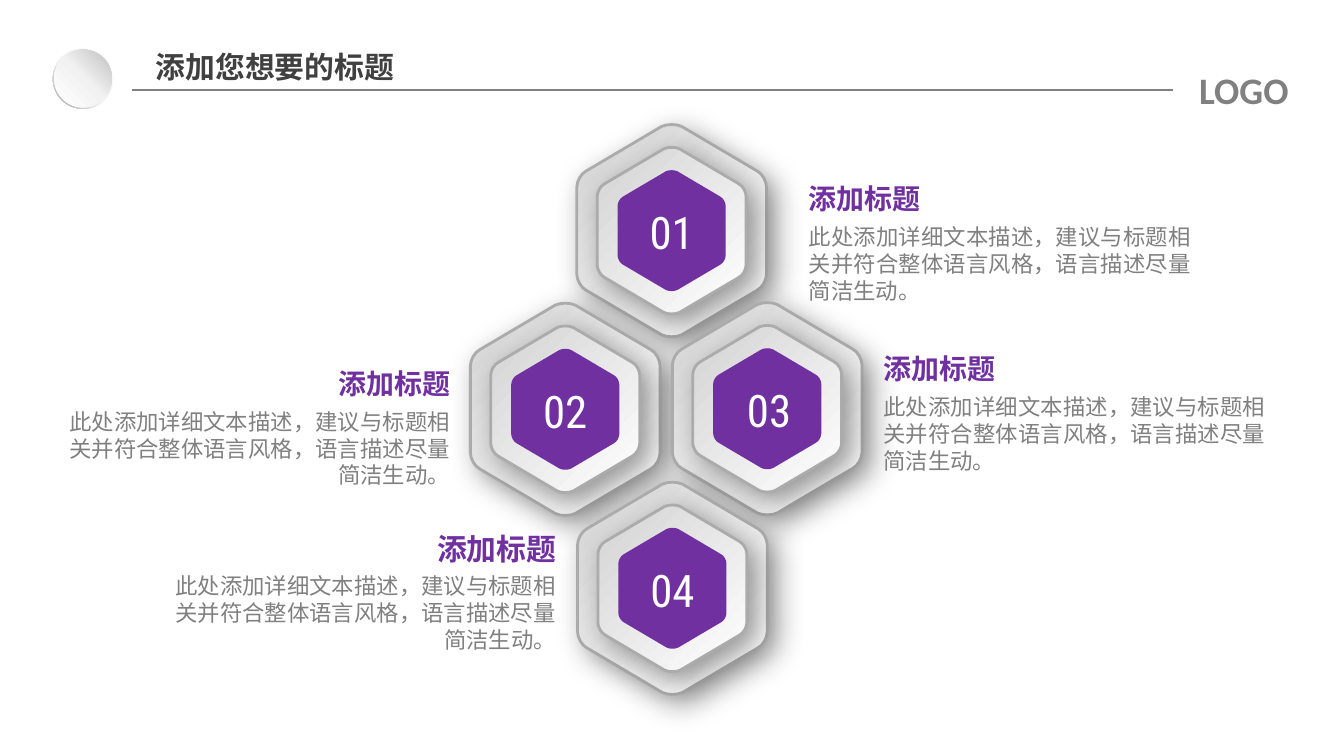
from lxml import etree
from pptx import Presentation
from pptx import util as u
from pptx.dml.color import RGBColor
from pptx.enum import shapes, text
from pptx.oxml.ns import qn

COLORS = {"purple": "7030A0", "gray": "808080", "dark": "404040",
          "white": "FFFFFF", "edge": "ABABAB", "shadow": "000000"}
CJK, LATIN, DIGITS = "Noto Sans CJK SC", "Calibri", "Roboto Condensed"
LEFT, CENTER = text.PP_ALIGN.LEFT, text.PP_ALIGN.CENTER
RIGHT, JUSTIFY = text.PP_ALIGN.RIGHT, text.PP_ALIGN.JUSTIFY

HEADING = "添加标题"
BODY = "此处添加详细文本描述，建议与标题相关并符合整体语言风格，语言描述尽量简洁生动。"
BODY_WIDTH = 215.3

# Bezier control points of two rounded corners, in points from the centre
TIP_CORNER = [(57.2, -5.4), (57.2, -5.4), (57.2, 5.4), (55.8, 5.4)]
TIP_CORNER = [(55.8, -5.4), (57.2, -2.5), (57.2, 2.5), (55.8, 5.4)]
SIDE_CORNER = [(32, 45.7), (30.6, 48.6), (26.3, 50.8), (23.4, 50.8)]


def rgb(name):
    return RGBColor.from_string(COLORS[name])


def sub(parent, tag, **attrs):
    return etree.SubElement(parent, qn(tag), {k: str(v) for k, v in attrs.items()})


def hexagon_outline():
    """Four Bezier points for each corner of a hexagon with its tips left and right."""
    half = TIP_CORNER + SIDE_CORNER + [(-x, y) for x, y in reversed(SIDE_CORNER)]
    return half + [(-x, -y) for x, y in half]


def round_corners(sp):
    """Turn the three segments of each corner into one cubic curve."""
    segments = list(sp._element.iter(qn("a:lnTo")))
    for i in range(0, len(segments), 4):
        bezier, *rest = segments[i:i + 3]
        bezier.tag = qn("a:cubicBezTo")
        for segment in rest:
            bezier.append(segment[0])
            segment.getparent().remove(segment)


class Slide:
    """Holds the current slide and draws its elements in one style; lengths in points."""

    def __init__(self, prs):
        self.s = prs.slides.add_slide(prs.slide_layouts[6])
        self.outline = hexagon_outline()

    def gradient(self, sp, stops, angle):
        """Stops are (percent, hex) pairs; the angle runs clockwise."""
        sp.fill.gradient()
        grad = sp._element.spPr.find(qn("a:gradFill"))
        for child in list(grad):
            grad.remove(child)
        stop_list = sub(grad, "a:gsLst")
        for pos, color in stops:
            sub(sub(stop_list, "a:gs", pos=pos * 1000), "a:srgbClr", val=color)
        sub(grad, "a:lin", ang=angle * 60000, scaled=0)

    def drop_shadow(self, sp):
        sp.shadow.inherit = False
        shadow = sub(sp._element.spPr.find(qn("a:effectLst")), "a:outerShdw",
                     blurRad=u.Pt(16), dist=u.Pt(6), dir=45 * 60000,
                     algn="ctr", rotWithShape=0)
        sub(sub(shadow, "a:srgbClr", val=COLORS["shadow"]), "a:alpha", val=40000)

    def label(self, x, y, w, h, content, size, color, font=CJK, align=LEFT,
              bold=False, inset=(7.2, 3.6)):
        sp = self.s.shapes.add_textbox(u.Pt(x), u.Pt(y), u.Pt(w), u.Pt(h))
        tf = sp.text_frame
        tf.word_wrap = True
        tf.margin_left = tf.margin_right = u.Pt(inset[0])
        tf.margin_top = tf.margin_bottom = u.Pt(inset[1])
        p = tf.paragraphs[0]
        p.text = content
        p.alignment = align
        if font == CJK:
            p.line_spacing = u.Pt(size * 1.2)
        p.font.size, p.font.bold, p.font.name = u.Pt(size), bold, font
        p.font.color.rgb = rgb(color)
        sub(p._p.pPr.find(qn("a:defRPr")), "a:ea", typeface=font)

    def round_shape(self, kind, x, y, size, stops, angle):
        sp = self.s.shapes.add_shape(kind, u.Pt(x), u.Pt(y), u.Pt(size), u.Pt(size))
        self.gradient(sp, stops, angle)
        sp.line.fill.background()
        sp.shadow.inherit = False
        return sp

    def rule(self, x1, x2, y):
        line = self.s.shapes.add_connector(shapes.MSO_CONNECTOR.STRAIGHT,
                                           u.Pt(x1), u.Pt(y), u.Pt(x2), u.Pt(y))
        line.line.color.rgb = rgb("gray")
        line.line.width = u.Pt(1.25)
        sub(line._element.spPr, "a:effectLst")

    def hexagon(self, cx, cy, scale, raised):
        points = [(u.Pt(cx + x * scale), u.Pt(cy + y * scale)) for x, y in self.outline]
        builder = self.s.shapes.build_freeform(*points[0])
        builder.add_line_segments(points[1:], close=True)
        sp = builder.convert_to_shape()
        round_corners(sp)
        sp.rotation = 90
        if raised:
            self.gradient(sp, [(0, "FFFFFF"), (100, "D3D3D3")], 135)
            sp.line.color.rgb = rgb("edge")
            sp.line.width = u.Pt(1.5)
            self.drop_shadow(sp)
        else:
            sp.fill.solid()
            sp.fill.fore_color.rgb = rgb("purple")
            sp.line.fill.background()
            sp.shadow.inherit = False

    def badge(self, number, cx, cy, number_x):
        for scale, raised in ((1, True), (0.785, True), (0.57, False)):
            self.hexagon(cx, cy, scale, raised)
        self.label(number_x - 27, cy - 17.5, 54, 36, number, 24, "white", DIGITS, CENTER)

    def header(self, title):
        ring = self.round_shape(shapes.MSO_SHAPE.DONUT, 28.3, 25.9, 32.4,
                                [(0, "FFFFFF"), (55, "F2F2F2"), (100, "A6A6A6")], 135)
        ring.adjustments[0] = 0.05
        self.round_shape(shapes.MSO_SHAPE.OVAL, 29, 26.6, 31,
                         [(0, "FFFFFF"), (51, "F2F2F2"), (100, "BFBFBF")], 315)
        self.rule(70.6, 628.6, 48.2)
        self.label(621, 32.4, 90.7, 31.7, "LOGO", 20, "gray", LATIN, CENTER, True)
        self.label(76.5, 22.5, 221, 26.6, title, 16, "dark", bold=True)

    def note(self, x, y, to_right, heading_width, heading_size=15):
        """Heading over a paragraph, on the right or the left of its badge."""
        inset = (5.2, 2.7)
        heading_x = x if to_right else x + BODY_WIDTH - heading_width
        self.label(heading_x, y, heading_width, 24, HEADING, heading_size, "purple",
                   align=LEFT if to_right else RIGHT, bold=True, inset=inset)
        self.label(x, y + 22, BODY_WIDTH, 49, BODY, 12, "gray",
                   align=JUSTIFY if to_right else RIGHT, inset=inset)


def main():
    prs = Presentation()
    prs.slide_width, prs.slide_height = u.Pt(720), u.Pt(405)
    slide = Slide(prs)
    slide.header("添加您想要的标题")
    for number, cx, cy, number_x in (("01", 359.8, 123.6, 359.8), ("02", 302.8, 219.3, 302.8),
                                     ("03", 411, 219, 412), ("04", 360.2, 315.2, 360.2)):
        slide.badge(number, cx, cy, number_x)
    slide.note(428.1, 94.8, True, 126)
    slide.note(468, 185.8, True, 104.4)
    slide.note(31, 193.8, False, 126)
    slide.note(87.8, 281.8, False, 104.4, heading_size=16)
    prs.save("out.pptx")


if __name__ == "__main__":
    main()
